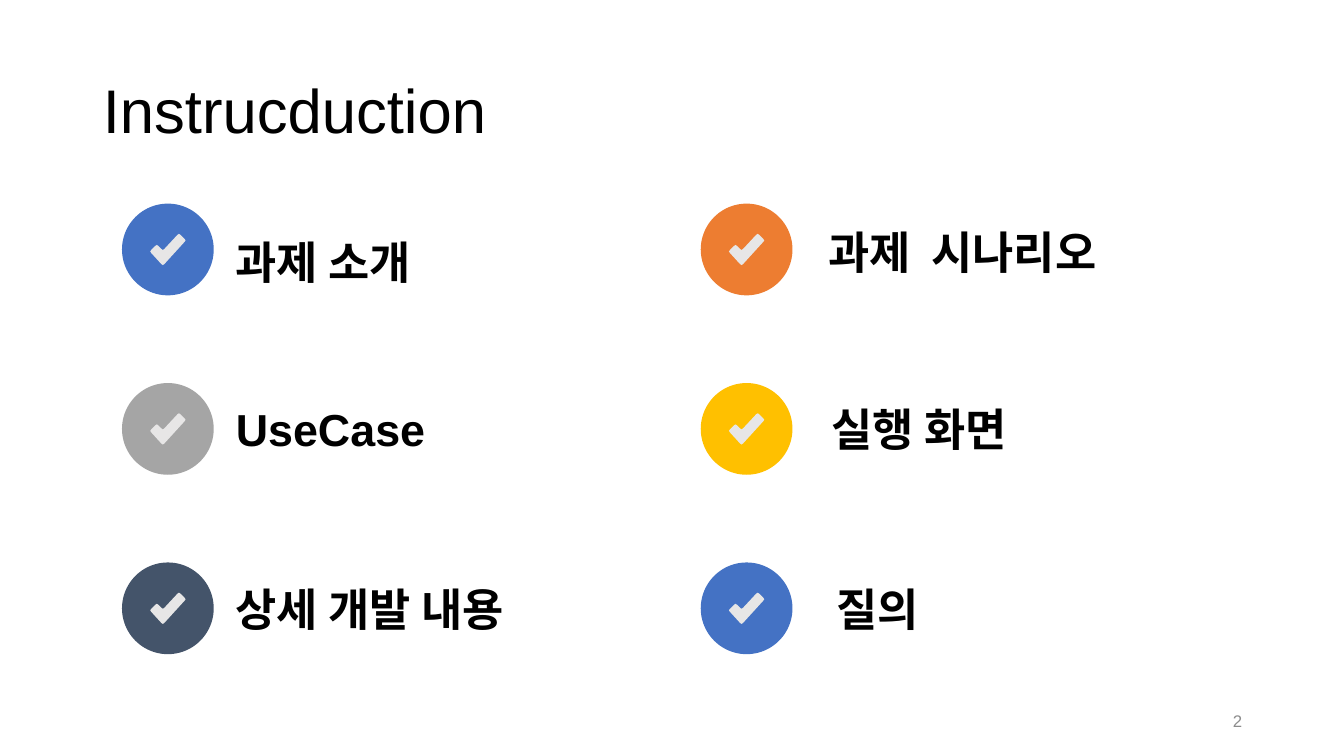
from pptx import Presentation
from pptx.dml.color import RGBColor
from pptx.enum.shapes import MSO_SHAPE
from pptx.enum.text import MSO_ANCHOR, MSO_AUTO_SIZE, PP_ALIGN
from pptx.util import Inches, Pt

OVAL = MSO_SHAPE.OVAL
MIDDLE, TOP = MSO_ANCHOR.MIDDLE, MSO_ANCHOR.TOP
LEFT, RIGHT = PP_ALIGN.LEFT, PP_ALIGN.RIGHT
NO_FIT = MSO_AUTO_SIZE.NONE

COLORS = {
    "text": "000000", "number": "8C8C8C", "check": "E7E6E6",
    "blue": "4472C4", "orange": "ED7D31", "gray": "A5A5A5",
    "gold": "FFC000", "navy": "44546A",
}
FONT = "Arial"
BADGE = 0.91
COLUMNS = (1.21, 6.95)
TOP_ROW, ROW_STEP = 2.02, 1.78
CHECK = [
    (0.62, 0.38), (0.63, 0.365), (0.62, 0.35), (0.58, 0.31), (0.565, 0.3),
    (0.55, 0.31), (0.42, 0.45), (0.405, 0.46), (0.39, 0.45), (0.36, 0.42),
    (0.345, 0.41), (0.33, 0.42), (0.29, 0.46), (0.28, 0.475), (0.29, 0.49),
    (0.39, 0.6), (0.405, 0.61), (0.42, 0.6),
]
ITEMS = [
    [("과제 소개", "blue", 1.03, 0.26, 2.44),
     ("과제  시나리오", "orange", 1.17, 0.16, 4.67)],
    [("UseCase", "gray", 1.03, 0.14, 2.95),
     ("실행 화면", "gold", 1.2, 0.14, 3.21)],
    [("상세 개발 내용", "navy", 1.03, 0.14, 4.46),
     ("질의", "blue", 1.25, 0.14, 1.75)],
]


def write(sp, text, size, color="text", bold=False, align=LEFT, anchor=TOP):
    """Fill a text shape with one formatted paragraph."""
    tf = sp.text_frame
    tf.text = text
    tf.word_wrap = True
    tf.auto_size = NO_FIT
    tf.vertical_anchor = anchor
    p = tf.paragraphs[0]
    p.alignment = align
    font = p.runs[0].font
    font.name, font.size, font.bold = FONT, Pt(size), bold
    font.color.rgb = RGBColor.from_string(COLORS[color])


def paint(sp, color):
    """Give a shape a plain fill without line or shadow."""
    sp.shadow.inherit = False
    sp.fill.solid()
    sp.fill.fore_color.rgb = RGBColor.from_string(COLORS[color])
    sp.line.fill.background()


def add_title(slide, text, x, y, w, h):
    """Place and format the title placeholder."""
    sp = slide.shapes.title
    sp.left, sp.top, sp.width, sp.height = map(Inches, (x, y, w, h))
    write(sp, text, 44, anchor=MIDDLE)
    sp.text_frame.paragraphs[0].line_spacing = 0.9


def add_badge(slide, x, y, color):
    """Draw a grouped circle with a check mark."""
    shapes = slide.shapes.add_group_shape().shapes
    size = Inches(BADGE)
    paint(shapes.add_shape(OVAL, Inches(x), Inches(y), size, size), color)
    points = [(Inches(x + dx), Inches(y + dy)) for dx, dy in CHECK]
    builder = shapes.build_freeform(*points[0])
    builder.add_line_segments(points[1:], close=True)
    paint(builder.convert_to_shape(), "check")


def add_item(slide, x, y, text, color, dx, dy, w):
    """Place a badge and its label from the badge's corner."""
    add_badge(slide, x, y, color)
    sp = slide.shapes.add_textbox(
        Inches(x + dx), Inches(y + dy), Inches(w), Inches(0.64))
    write(sp, text, 32, bold=True)


def add_page_number(slide, text, x, y, w, h):
    """Place the page number at the foot of the slide."""
    sp = slide.shapes.add_textbox(*map(Inches, (x, y, w, h)))
    write(sp, text, 12, "number", align=RIGHT, anchor=MIDDLE)


def main():
    """Build the agenda slide."""
    prs = Presentation()
    prs.slide_width, prs.slide_height = Inches(13.33), Inches(7.5)
    slide = prs.slides.add_slide(prs.slide_layouts[5])
    add_title(slide, "Instrucduction", 0.92, 0.4, 11.5, 1.45)
    for row, items in enumerate(ITEMS):
        for x, item in zip(COLUMNS, items):
            add_item(slide, x, TOP_ROW + row * ROW_STEP, *item)
    add_page_number(slide, "2", 9.42, 6.95, 3, 0.4)
    prs.save("out.pptx")


if __name__ == "__main__":
    main()
